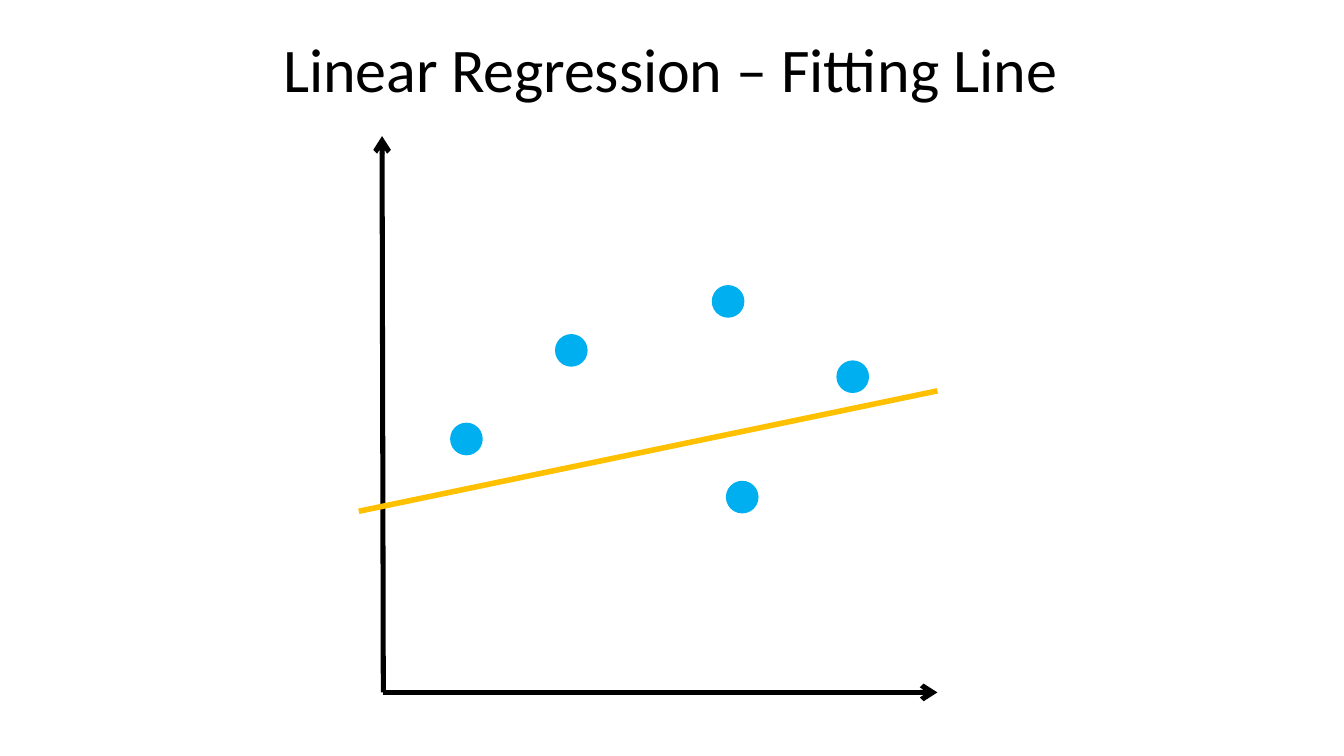
from dataclasses import dataclass

from lxml.etree import SubElement
from pptx import Presentation
from pptx.dml.color import RGBColor
from pptx.enum.shapes import MSO_CONNECTOR as Connector, MSO_SHAPE as Shape
from pptx.enum.text import MSO_ANCHOR as Anchor, MSO_AUTO_SIZE as AutoSize, PP_ALIGN as Align
from pptx.oxml.ns import qn
from pptx.util import Pt


@dataclass(frozen=True)
class Theme:
    """Colours, type and line sizes of the slide."""
    ink: RGBColor = RGBColor(0x00, 0x00, 0x00)
    data: RGBColor = RGBColor(0x00, 0xAF, 0xEF)
    fit: RGBColor = RGBColor(0xFF, 0xC0, 0x00)
    font: str = "Calibri"
    title_size: float = 44.3
    axis_width: float = 3.6
    fit_width: float = 3.96
    outline_width: float = 3
    dot_size: float = 20.3


THEME = Theme()
TITLE_RUNS = [("Linear Regression ", -10), ("– ", 0), ("Fitting ", -10), ("Line", 0)]
ORIGIN = (273.8, 494.6)
Y_AXIS_TIP = (272.9, 97.2)
X_AXIS_TIP = (669.6, 494.6)
FIT_START, FIT_END = (256.3, 365.2), (669.6, 279.2)
OBSERVATIONS = [(333.2, 313.6), (408.1, 250.3), (520.1, 215.3), (609.1, 269.1), (530.2, 355.1)]


def set_title(slide):
    """Place the title and fill it run by run, with its letter spacing."""
    title = slide.shapes.title
    title.left, title.top, title.width, title.height = Pt(201.6), Pt(20.9), Pt(557.3), Pt(54.7)
    frame = title.text_frame
    frame.word_wrap = True
    frame.auto_size = AutoSize.SHAPE_TO_FIT_TEXT
    frame.vertical_anchor = Anchor.MIDDLE
    frame.margin_left = frame.margin_right = frame.margin_bottom = 0
    frame.margin_top = Pt(0.9)
    heading = frame.paragraphs[0]
    heading.alignment = Align.LEFT
    heading.line_spacing = 1.0
    heading.space_before = Pt(0)
    heading._p.get_or_add_pPr().set("marL", str(Pt(1)))
    for words, spacing in TITLE_RUNS:
        part = heading.add_run()
        part.text = words
        part.font.name = THEME.font
        part.font.size = Pt(THEME.title_size)
        part.font.color.rgb = THEME.ink
        part._r.get_or_add_rPr().set("spc", str(spacing))


def add_line(slide, start, end, color, width, arrow=False):
    """Draw a straight line, with an open arrowhead at its end if asked."""
    stroke = slide.shapes.add_connector(Connector.STRAIGHT, *map(Pt, start + end))
    stroke.line.color.rgb = color
    stroke.line.width = Pt(width)
    if arrow:
        SubElement(stroke.line._get_or_add_ln(), qn("a:tailEnd"), type="arrow", w="med", len="med")
    SubElement(stroke._element.spPr, qn("a:effectLst"))


def add_observation(slide, x, y):
    """Draw one data point centred at x, y."""
    size = THEME.dot_size
    dot = slide.shapes.add_shape(Shape.OVAL, Pt(x - size / 2), Pt(y - size / 2), Pt(size), Pt(size))
    dot.shadow.inherit = False
    dot.fill.solid()
    dot.fill.fore_color.rgb = THEME.data
    dot.line.color.rgb = THEME.data
    dot.line.width = Pt(THEME.outline_width)


def main():
    """Build the slide and save it."""
    deck = Presentation()
    deck.slide_width, deck.slide_height = Pt(960), Pt(540)
    slide = deck.slides.add_slide(deck.slide_layouts[5])
    set_title(slide)
    for tip in (Y_AXIS_TIP, X_AXIS_TIP):
        add_line(slide, ORIGIN, tip, THEME.ink, THEME.axis_width, arrow=True)
    for x, y in OBSERVATIONS:
        add_observation(slide, x, y)
    add_line(slide, FIT_START, FIT_END, THEME.fit, THEME.fit_width)
    deck.save("out.pptx")


if __name__ == "__main__":
    main()
